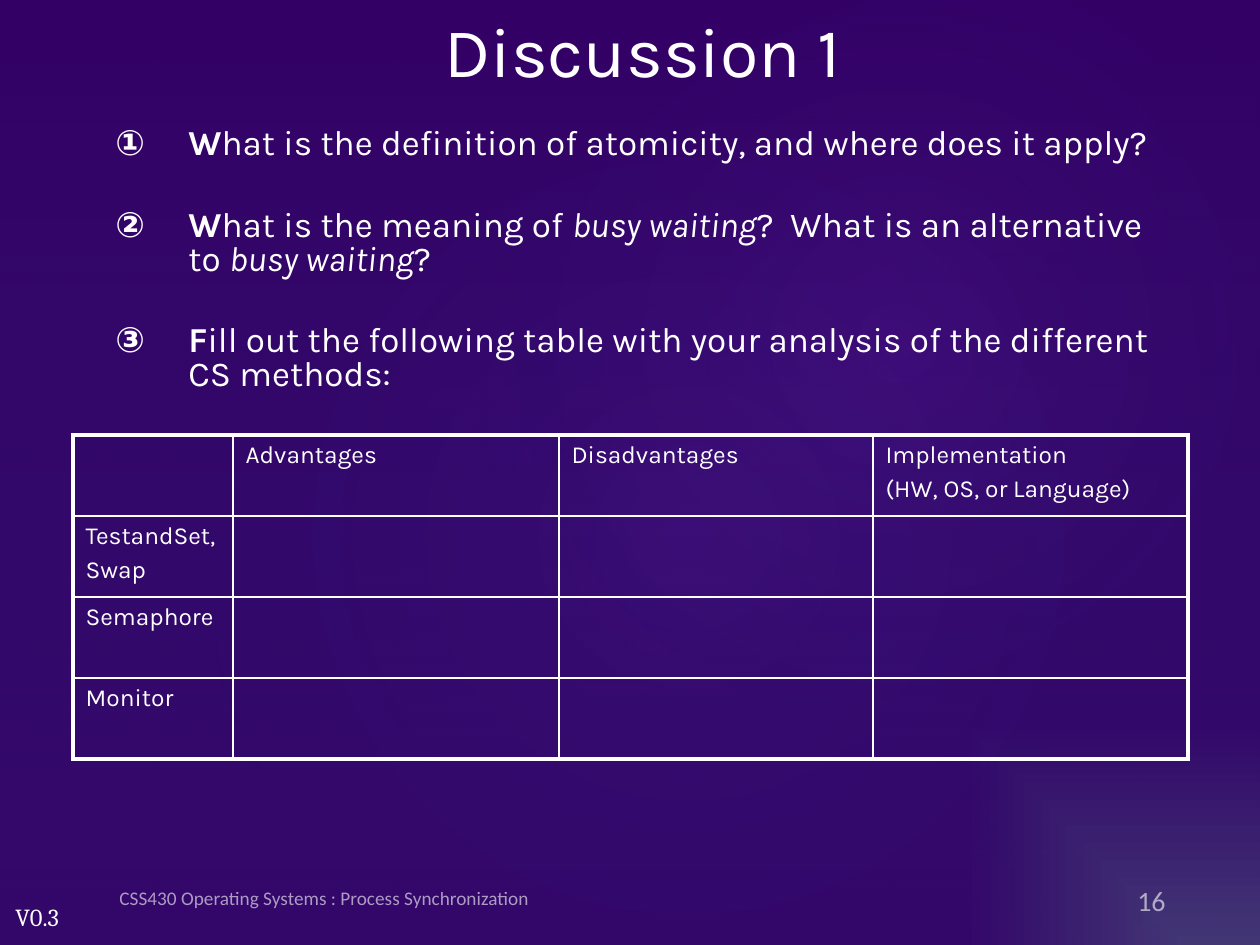
from lxml.etree import SubElement
from pptx import Presentation
from pptx.dml.color import RGBColor
from pptx.enum.shapes import MSO_SHAPE as Shape
from pptx.enum.text import MSO_ANCHOR as Anchor, PP_ALIGN as Align
from pptx.oxml import parse_xml
from pptx.oxml.ns import nsdecls, qn
from pptx.util import Emu, Pt

WHITE = RGBColor(0xFF, 0xFF, 0xFF)
PURPLE = RGBColor(0x33, 0x00, 0x66)
VIOLET = RGBColor(0x35, 0x02, 0x67)
SLATE = RGBColor(0x46, 0x36, 0x73)
NAVY = RGBColor(0x26, 0x3B, 0x86)
GLOW = RGBColor(0xA3, 0x47, 0xFF)

LINEAR = '<a:lin ang="5400000" scaled="0"/>'
CORNER = '<a:path path="rect"><a:fillToRect l="100000" t="100000"/></a:path>'
CENTRE = '<a:path path="circle"><a:fillToRect l="50000" t="50000" r="50000" b="50000"/></a:path>'

# Gradient stops: position %, colour, opacity %
BACKDROP = [(0, SLATE, 100), (47, VIOLET, 100)]
OVERLAYS = [  # shape, box in px, rotation, stops, direction
    (Shape.RECTANGLE, (0, 0, 1260, 945), 0, [(0, PURPLE, 36), (100, NAVY, 10)], LINEAR),
    (Shape.OVAL, (189, 144, 998, 786), 328.7, [(0, GLOW, 7), (58, NAVY, 0)], CENTRE),
    (Shape.OVAL, (451, 16, 893, 655), 328.7, [(0, GLOW, 8), (58, NAVY, 0)], CENTRE),
]

TITLE = "Discussion 1"
TITLE_BOX = (107, 0, 1071, 100)
LABELS = [  # text, box in px, font, size, opacity %, alignment, wrap
    ("V0.3", (3, 895, 74, 43), "Cambria", 14, 100, Align.LEFT, False),
    ("16", (1037, 873, 141, 55), "Calibri", 16, 60, Align.RIGHT, True),
    ("CSS430 Operating Systems : Process Synchronization", (107, 873, 636, 50),
     "Calibri", 11, 60, Align.LEFT, True),
]

# Each question is a list of (text, style)
QUESTIONS = [
    [("W", "bold"), ("hat is the definition of atomicity, and where does it apply?", "")],
    [("W", "bold"), ("hat is the meaning of ", ""), ("busy waiting", "italic"),
     ("?  What is an alternative to ", ""), ("busy waiting", "italic"), ("?", "")],
    [("F", "bold"),
     ("ill out the following table with your analysis of the different CS methods:", "")],
]
QUESTION_BOX = (103, 123, 1090, 276)
QUESTION_INDENT = 73
QUESTION_GAP = 27.5

METHODS = [
    ["", "Advantages", "Disadvantages", "Implementation\n(HW, OS, or Language)"],
    ["TestandSet,\nSwap", "", "", ""],
    ["Semaphore", "", "", ""],
    ["Monitor", "", "", ""],
]
TABLE_LEFT, TABLE_TOP = 73, 435
COLUMN_WIDTHS = [160, 326, 314, 315]
ROW_HEIGHT = 81
OUTER_LINE, INNER_LINE = 2.25, 1


def px(length):
    return Emu(round(length * 914400 / 126))


def place(box):
    return [px(length) for length in box]


def paint_gradient(fill, element, stops, direction):
    """Fill the owner of `element` with a gradient that may be transparent."""
    fill.gradient()
    plain = element.find(".//" + qn("a:gradFill"))
    stop_xml = "".join(
        f'<a:gs pos="{position * 1000}"><a:srgbClr val="{color}">'
        f'<a:alpha val="{opacity * 1000}"/></a:srgbClr></a:gs>'
        for position, color, opacity in stops)
    plain.getparent().replace(plain, parse_xml(
        f'<a:gradFill {nsdecls("a")} rotWithShape="1"><a:gsLst>{stop_xml}</a:gsLst>'
        f'{direction}</a:gradFill>'))


def style_font(font, name, size):
    font.name, font.size = name, Pt(size)
    font.color.rgb = WHITE


def add_label(page, text, box, font_name, size, opacity, alignment, wrap):
    label = page.shapes.add_textbox(*place(box))
    frame = label.text_frame
    frame.text = text
    frame.word_wrap = wrap
    frame.vertical_anchor = Anchor.MIDDLE
    para = frame.paragraphs[0]
    para.alignment = alignment
    span = para.runs[0]
    style_font(span.font, font_name, size)
    if opacity < 100:
        color = span.font.fill.fore_color
        color.rgb = WHITE
        SubElement(label.element.find(".//" + qn("a:srgbClr")), qn("a:alpha"),
                   val=str(opacity * 1000))


def add_questions(page):
    frame = page.shapes.add_textbox(*place(QUESTION_BOX)).text_frame
    frame.word_wrap = True
    frame.vertical_anchor = Anchor.MIDDLE
    for number, question in enumerate(QUESTIONS):
        para = frame.add_paragraph() if number else frame.paragraphs[0]
        para.line_spacing = 0.8
        if number:
            para.space_before = Pt(QUESTION_GAP)
        properties = para._p.get_or_add_pPr()
        properties.set("marL", str(px(QUESTION_INDENT)))
        properties.set("indent", str(-px(QUESTION_INDENT)))
        SubElement(properties, qn("a:buAutoNum"), type="circleNumDbPlain")
        for text, style in question:
            span = para.add_run()
            span.text = text
            style_font(span.font, "Karla", 20)
            span.font.bold = style == "bold"
            span.font.italic = style == "italic"


def set_borders(cell, widths):
    """Draw white borders; widths are in points, by side."""
    properties = cell._tc.get_or_add_tcPr()
    for index, (side, width) in enumerate(widths.items()):
        properties.insert(index, parse_xml(
            f'<a:ln{side} {nsdecls("a")} w="{Pt(width)}"><a:solidFill>'
            f'<a:srgbClr val="{WHITE}"/></a:solidFill></a:ln{side}>'))


def add_methods_table(page):
    rows, columns = len(METHODS), len(COLUMN_WIDTHS)
    box = (TABLE_LEFT, TABLE_TOP, sum(COLUMN_WIDTHS), rows * ROW_HEIGHT)
    table = page.shapes.add_table(rows, columns, *place(box)).table
    table.first_row = table.horz_banding = False
    for column, width in zip(table.columns, COLUMN_WIDTHS):
        column.width = px(width)
    for r, texts in enumerate(METHODS):
        table.rows[r].height = px(ROW_HEIGHT)
        for c, text in enumerate(texts):
            cell = table.cell(r, c)
            cell.text = text
            cell.fill.background()
            for number, para in enumerate(cell.text_frame.paragraphs):
                style_font(para.font, "Karla", 14)
                for span in para.runs:
                    style_font(span.font, "Karla", 14)
                if number:
                    para.space_before = Pt(3)
            on_edge = {"L": c == 0, "R": c == columns - 1, "T": r == 0, "B": r == rows - 1}
            set_borders(cell, {side: OUTER_LINE if edge else INNER_LINE
                               for side, edge in on_edge.items()})


def main():
    deck = Presentation()
    deck.slide_width, deck.slide_height = px(1260), px(945)
    page = deck.slides.add_slide(deck.slide_layouts[5])
    paint_gradient(page.background.fill, page.element, BACKDROP, CORNER)

    for kind, box, rotation, stops, direction in OVERLAYS:
        overlay = page.shapes.add_shape(kind, *place(box))
        overlay.rotation = rotation
        overlay.shadow.inherit = False
        overlay.line.fill.background()
        paint_gradient(overlay.fill, overlay.element, stops, direction)

    title = page.shapes.title
    title.element.getparent().append(title.element)  # in front of the overlays
    title.left, title.top, title.width, title.height = place(TITLE_BOX)
    title.text_frame.text = TITLE
    title.text_frame.vertical_anchor = Anchor.MIDDLE
    heading = title.text_frame.paragraphs[0]
    heading.alignment = Align.CENTER
    style_font(heading.runs[0].font, "Karla", 40)

    for label in LABELS:
        add_label(page, *label)
    add_questions(page)
    add_methods_table(page)
    deck.save("out.pptx")


if __name__ == "__main__":
    main()
